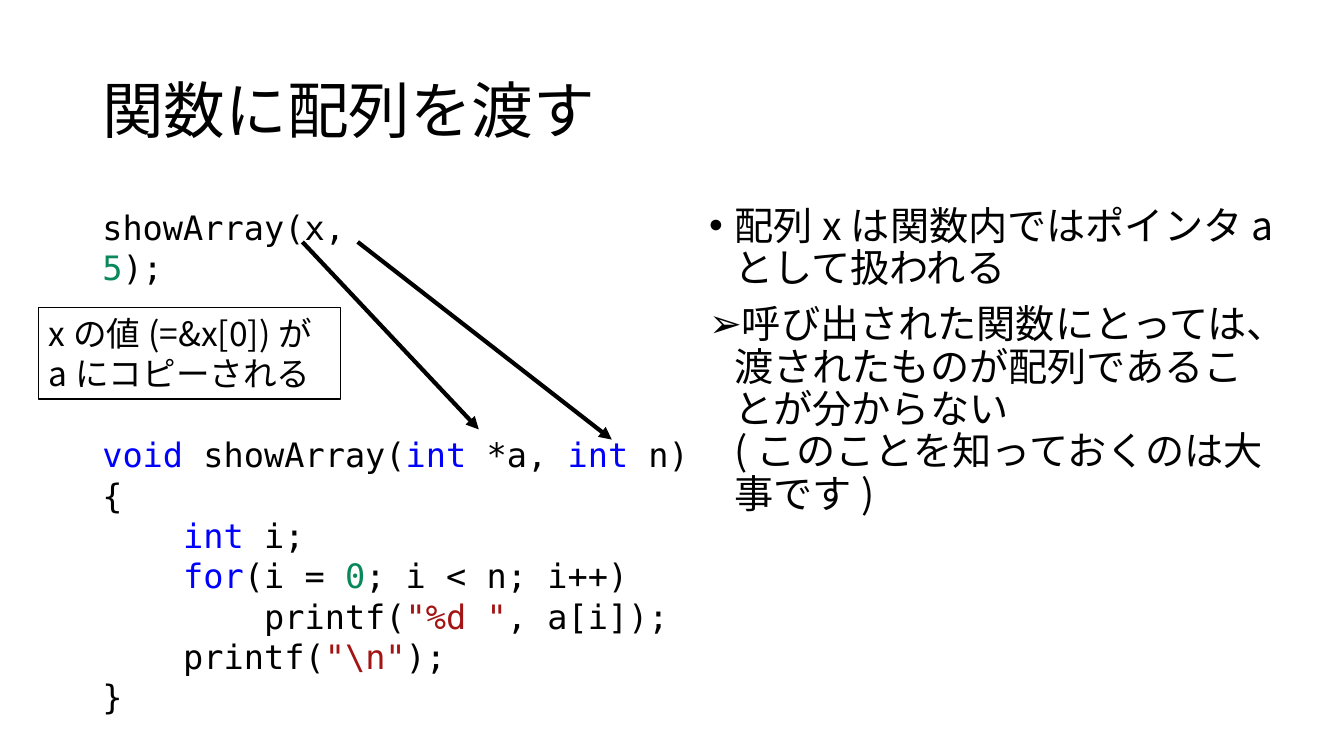
from pptx import Presentation
from pptx.dml.color import RGBColor
from pptx.enum import lang, shapes, text
from pptx.oxml import parse_xml
from pptx.oxml.ns import nsdecls
from pptx.util import Pt

MONO, SANS = "DejaVu Sans Mono", "Noto Sans CJK JP"
BLACK, BLUE, GREEN, RED = "000000", "0000FF", "09885A", "A31515"


def color(code):
    return RGBColor.from_string(code)


def write(box, lines, size, face, **layout):
    """Fill a box with lines, each a list of (text, colour) spans."""
    frame = box.text_frame
    frame.word_wrap = True
    for number, spans in enumerate(lines):
        para = frame.paragraphs[0] if number == 0 else frame.add_paragraph()
        para.alignment = text.PP_ALIGN.LEFT
        for name, value in layout.items():
            setattr(para, name, value)
        for words, ink in spans:
            for part, piece in enumerate(words.split("\n")):
                if part:
                    para.add_line_break()
                span = para.add_run()
                span.text = piece
                look = {"size": Pt(size), "name": face,
                        "language_id": lang.MSO_LANGUAGE_ID.JAPANESE}
                for name, value in look.items():
                    setattr(span.font, name, value)
                span.font.color.rgb = color(ink)
                span.font._element.append(
                    parse_xml(f'<a:ea {nsdecls("a")} typeface="{face}"/>'))
    return frame


deck = Presentation()
deck.slide_width, deck.slide_height = Pt(960), Pt(540)
page = deck.slides.add_slide(deck.slide_layouts[6])

# Title
title = page.shapes.add_textbox(Pt(66), Pt(28.75), Pt(828), Pt(104.4))
frame = write(title, [[("関数に配列を渡す", BLACK)]], 44, SANS, line_spacing=0.9)
frame.vertical_anchor = text.MSO_ANCHOR.MIDDLE

# Explanation with a different bullet on each point
points = [
    ("•", "配列xは関数内ではポインタaとして扱われる"),
    ("➢", "呼び出された関数にとっては、渡されたものが配列であることが分からない\n"
          "(このことを知っておくのは大事です)"),
]
explanation = page.shapes.add_textbox(Pt(499.5), Pt(143.75), Pt(418.5), Pt(352))
frame = write(explanation, [[(words, BLACK)] for _, words in points], 28, SANS,
              line_spacing=0.9, space_before=Pt(10))
for para, (bullet, _) in zip(frame.paragraphs, points):
    properties = para._p.get_or_add_pPr()
    properties.set("marL", str(Pt(18)))
    properties.set("indent", str(-Pt(18)))
    properties.append(parse_xml(f'<a:buFont {nsdecls("a")} typeface="Arial"/>'))
    properties.append(parse_xml(f'<a:buChar {nsdecls("a")} char="{bullet}"/>'))

# Function definition: indent level and coloured spans of each line
code = [
    (0, [("void ", BLUE), ("showArray(", BLACK), ("int", BLUE), (" *a, ", BLACK),
         ("int", BLUE), (" n)", BLACK)]),
    (0, [("{", BLACK)]),
    (1, [("int ", BLUE), ("i;", BLACK)]),
    (1, [("for", BLUE), ("(i = ", BLACK), ("0", GREEN), ("; i < n; i++)", BLACK)]),
    (2, [("printf(", BLACK), ('"%d "', RED), (", a[i]);", BLACK)]),
    (1, [("printf(", BLACK), (r'"\n"', RED), (");", BLACK)]),
    (0, [("}", BLACK)]),
]
definition = page.shapes.add_textbox(Pt(66), Pt(306.75), Pt(480), Pt(211))
frame = write(definition, [spans for _, spans in code], 24, MONO)
for para, (level, _) in zip(frame.paragraphs, code):
    para._p.get_or_add_pPr().set("marL", str(Pt(57.8 * level)))

# Function call
call = page.shapes.add_textbox(Pt(66), Pt(144), Pt(229), Pt(36))
write(call, [[("showArray(x, ", BLACK), ("5", GREEN), (");", BLACK)]], 24, MONO)

# Arrows from arguments to parameters
for start_x, end_x, end_y in [(216, 342, 306.75), (255.5, 437, 314)]:
    arrow = page.shapes.add_connector(shapes.MSO_CONNECTOR.STRAIGHT,
                                      Pt(start_x), Pt(172.8), Pt(end_x), Pt(end_y))
    arrow.line.width = Pt(3)
    arrow.line.color.rgb = color(BLACK)
    arrow.line._get_or_add_ln().append(
        parse_xml(f'<a:tailEnd {nsdecls("a")} type="triangle"/>'))
    arrow._element.spPr.append(parse_xml(f'<a:effectLst {nsdecls("a")}/>'))

# Note on copying
note = page.shapes.add_shape(shapes.MSO_SHAPE.RECTANGLE,
                             Pt(27.4), Pt(219.6), Pt(216), Pt(65.5))
note.shadow.inherit = False
note.fill.solid()
note.fill.fore_color.rgb = color("FFFFFF")
note.line.color.rgb = color(BLACK)
note.line.width = Pt(1)
frame = write(note, [[("xの値(=&x[0])がaにコピーされる", BLACK)]], 24, SANS)
frame.vertical_anchor = text.MSO_ANCHOR.TOP

deck.save("out.pptx")
